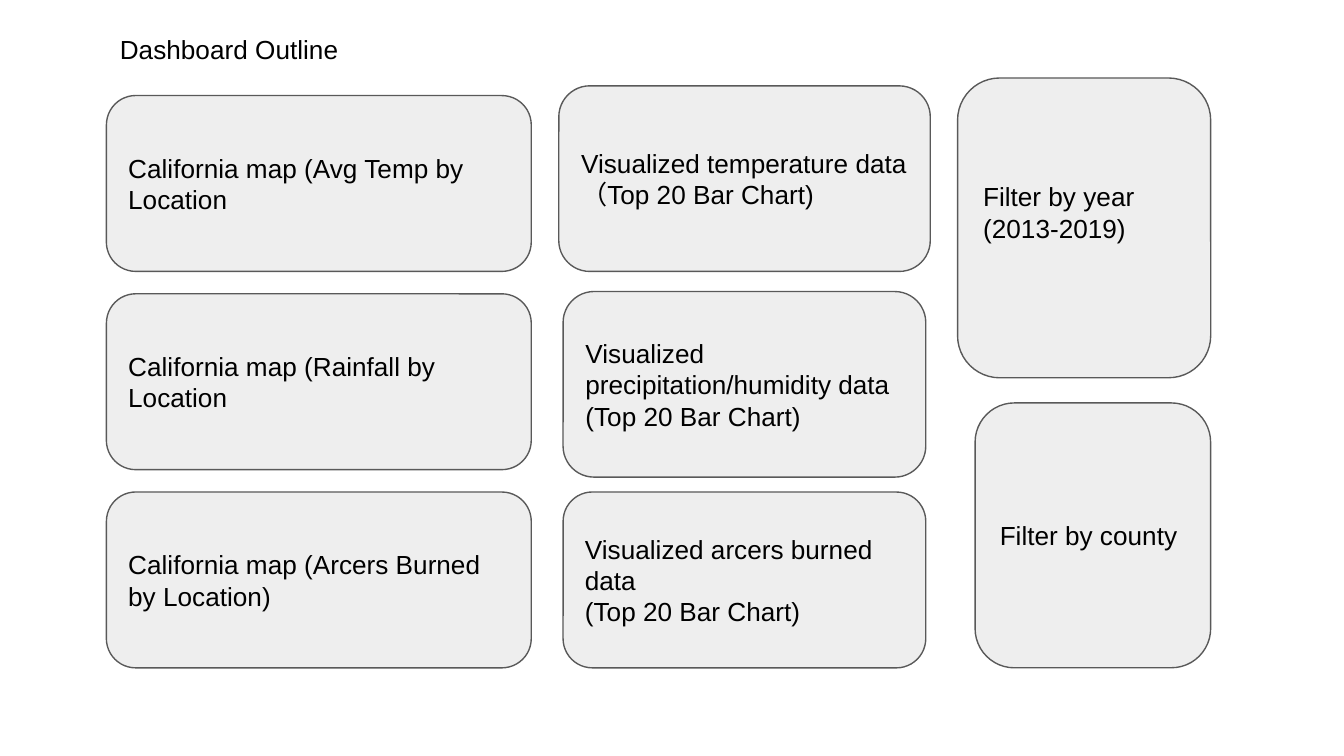
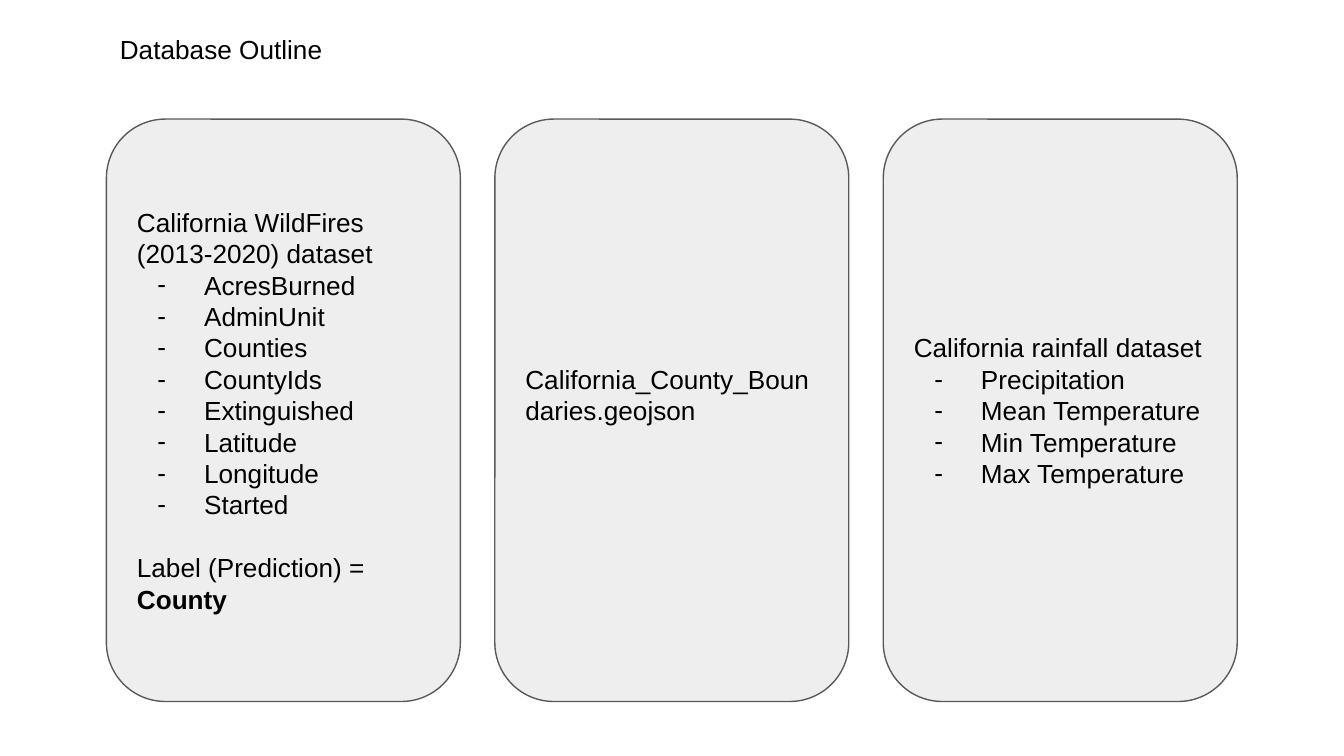
from dataclasses import dataclass

from lxml import etree
from pptx import Presentation
from pptx import util as u
from pptx.dml.color import RGBColor
from pptx.enum import shapes, text
from pptx.oxml import ns

Pt = u.Pt


@dataclass(frozen=True)
class Theme:
    ink: str = "000000"
    card: str = "EEEEEE"
    outline: str = "595959"
    font: str = "Arial"
    size: float = 14
    line_height: float = 16.8
    inset: float = 7.2
    line_width: float = 0.75
    bullet_margin: float = 36
    bullet_hang: float = 25
    left: float = 57


def color(value):
    return RGBColor.from_string(value)


class Deck:
    def __init__(self, theme):
        self.theme = theme
        self.file = Presentation()
        self.file.slide_width, self.file.slide_height = Pt(720), Pt(405)
        self.slide = None

    def add_slide(self, heading):
        self.slide = self.file.slides.add_slide(self.file.slide_layouts[5])
        title = self.slide.shapes.title
        title.left, title.top = Pt(self.theme.left), Pt(10.8)
        title.width, title.height = Pt(161.3), Pt(31.7)
        self.fill_text(title.text_frame, [heading], text.MSO_ANCHOR.TOP)

    def card(self, x, y, width, height, lines, lift=0):
        """Add a rounded card; lift is the number of lines kept free below its text."""
        theme = self.theme
        card = self.slide.shapes.add_shape(
            shapes.MSO_SHAPE.ROUNDED_RECTANGLE, Pt(x), Pt(y), Pt(width), Pt(height))
        card.shadow.inherit = False
        card.fill.solid()
        card.fill.fore_color.rgb = color(theme.card)
        card.line.color.rgb = color(theme.outline)
        card.line.width = Pt(theme.line_width)
        self.fill_text(card.text_frame, lines, text.MSO_ANCHOR.MIDDLE)
        card.text_frame.margin_bottom = Pt(theme.inset + lift * theme.line_height)
        return card.text_frame

    def fill_text(self, frame, lines, anchor):
        """Fill a frame; lines that start with "- " become bullets."""
        frame.word_wrap = True
        frame.auto_size = text.MSO_AUTO_SIZE.NONE
        frame.vertical_anchor = anchor
        frame.margin_left = frame.margin_right = Pt(self.theme.inset)
        frame.margin_top = frame.margin_bottom = Pt(self.theme.inset)
        for index, line in enumerate(lines):
            paragraph = frame.add_paragraph() if index else frame.paragraphs[0]
            paragraph.add_run().text = line.removeprefix("- ")
            paragraph.alignment = text.PP_ALIGN.LEFT
            if line.startswith("- "):
                self.bullet(paragraph)
            paragraph.font.name = self.theme.font
            paragraph.font.size = Pt(self.theme.size)
            paragraph.font.color.rgb = color(self.theme.ink)

    def bullet(self, paragraph):
        props = paragraph._p.get_or_add_pPr()
        props.set("marL", str(Pt(self.theme.bullet_margin)))
        props.set("indent", str(-Pt(self.theme.bullet_hang)))
        tint = etree.SubElement(props, ns.qn("a:buClr"))
        etree.SubElement(tint, ns.qn("a:srgbClr"), val=self.theme.ink)
        etree.SubElement(props, ns.qn("a:buFont"), typeface=self.theme.font)
        etree.SubElement(props, ns.qn("a:buChar"), char="-")


def dashboard_outline(deck):
    deck.add_slide("Dashboard Outline")
    maps = [
        "California map (Avg Temp by Location",
        "California map (Rainfall by Location",
        "California map (Arcers Burned by Location)",
    ]
    for row, label in enumerate(maps):
        deck.card(deck.theme.left, 51.2 + row * 106.2, 227.6, 94.2, [label])

    bar_chart = "(Top 20 Bar Chart)"
    deck.card(299.4, 46, 199, 99.4, ["Visualized temperature data", "（Top 20 Bar Chart)"])
    deck.card(301.7, 156.2, 194.3, 99.4,
              ["Visualized precipitation/humidity data", bar_chart])
    deck.card(301.7, 263.6, 194.3, 94.2, ["Visualized arcers burned data", bar_chart])

    deck.card(513, 41.8, 135.6, 160.6, ["Filter by year (2013-2019)"], lift=1)
    deck.card(522.4, 215.9, 126.2, 141.9, ["Filter by county"])


def database_outline(deck):
    deck.add_slide("Database Outline")
    datasets = [
        (["California WildFires (2013-2020) dataset", "- AcresBurned", "- AdminUnit",
          "- Counties", "- CountyIds", "- Extinguished", "- Latitude", "- Longitude",
          "- Started", "Label (Prediction) = "], 0),
        (["California_County_Boundaries.geojson"], 1),
        (["California rainfall dataset", "- Precipitation", "- Mean Temperature",
          "- Min Temperature", "- Max Temperature"], 0),
    ]
    wildfires, *_ = [
        deck.card(deck.theme.left + column * 208.1, 63.8, 189.6, 312, lines, lift)
        for column, (lines, lift) in enumerate(datasets)
    ]
    prediction = wildfires.paragraphs[-1]
    prediction.space_before = Pt(deck.theme.line_height)
    county = prediction.add_run()
    county.text = "County"
    county.font.bold = True


def main():
    deck = Deck(Theme())
    dashboard_outline(deck)
    database_outline(deck)
    deck.file.save("out.pptx")


if __name__ == "__main__":
    main()
